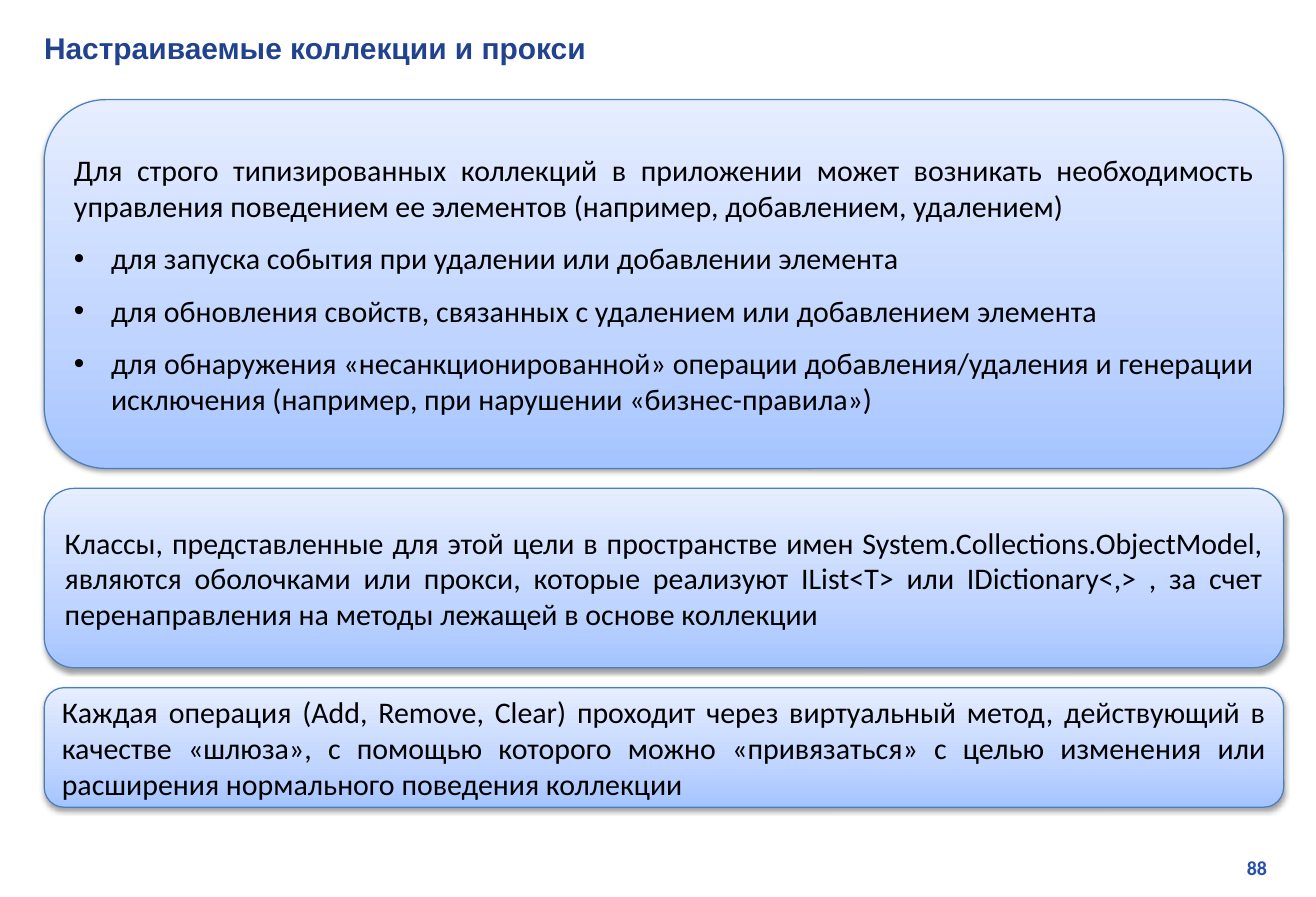
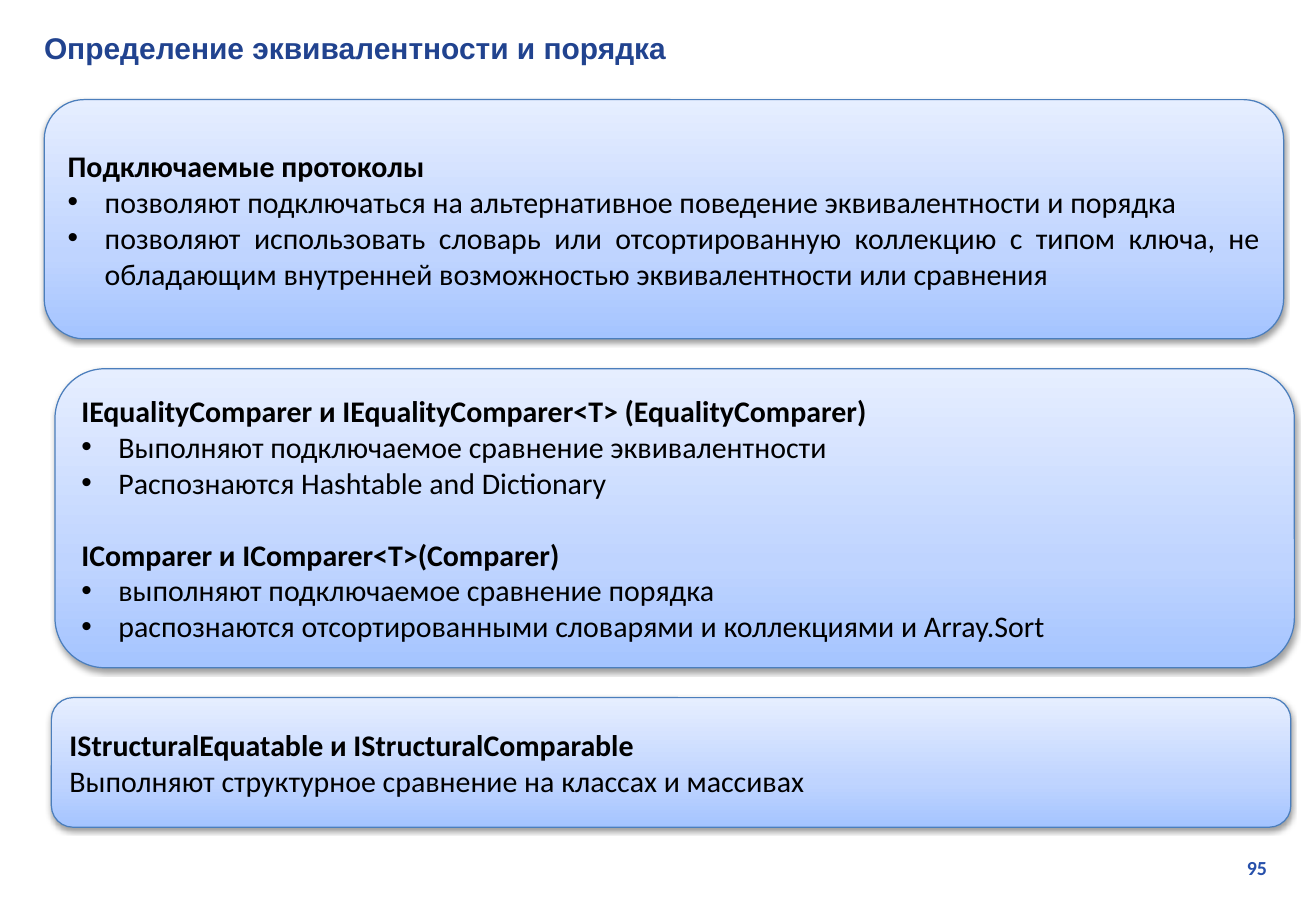
"""Build two slides on collection proxies and on equality and order protocols."""
from copy import deepcopy

from lxml.etree import SubElement
from pptx import Presentation
from pptx.dml.color import RGBColor
from pptx.enum.shapes import MSO_SHAPE
from pptx.enum.text import MSO_ANCHOR, PP_ALIGN
from pptx.oxml.ns import qn
from pptx.util import Inches, Pt

TITLE_BLUE = RGBColor(0x21, 0x43, 0x8F)
NUMBER_BLUE = RGBColor(0x27, 0x50, 0xAB)
BORDER_BLUE = RGBColor(0x4B, 0x7E, 0xBC)
BLACK = RGBColor(0, 0, 0)
PANEL_GRADIENT = [
    (0, RGBColor(0xA4, 0xC4, 0xFF)),
    (0.35, RGBColor(0xBF, 0xD4, 0xFF)),
    (1, RGBColor(0xE6, 0xEE, 0xFF)),
]

ROW = Inches(1 / 12)
MARGIN = Inches(0.37)
PANEL_WIDTH = Inches(10.36)
BULLET_INDENT = Inches(0.31)

TITLE = {"name": "Arial", "size": Pt(18), "bold": True}
NUMBER = {"name": "Calibri", "size": Pt(12), "bold": True}
BODY = {"name": "Calibri", "size": Pt(18), "bold": False}
HEADING = BODY | {"bold": True}

LEFT, JUSTIFY = PP_ALIGN.LEFT, PP_ALIGN.JUSTIFY

SLIDES = [
    ("Настраиваемые коллекции и прокси", 88, [
        (0, 10, 37, JUSTIFY, 10, [
            ("body", "Для строго типизированных коллекций в приложении может возникать необходимость "
                     "управления поведением ее элементов (например, добавлением, удалением)"),
            ("bullet", "для запуска события при удалении или добавлении элемента"),
            ("bullet", "для обновления свойств, связанных с удалением или добавлением элемента"),
            ("bullet", "для обнаружения «несанкционированной» операции добавления/удаления и генерации "
                       "исключения (например, при нарушении «бизнес-правила»)"),
        ]),
        (0, 49, 18, JUSTIFY, 10, [
            ("body", "Классы, представленные для этой цели в пространстве имен "
                     "System.Collections.ObjectModel, являются оболочками или прокси, которые реализуют "
                     "IList<T> или IDictionary<,> , за счет перенаправления на методы лежащей в основе "
                     "коллекции"),
        ]),
        (0, 69, 12, JUSTIFY, 10, [
            ("body", "Каждая операция (Add, Remove, Clear) проходит через виртуальный метод, "
                     "действующий в качестве «шлюза», с помощью которого можно «привязаться» с целью "
                     "изменения или расширения нормального поведения коллекции"),
        ]),
    ]),
    ("Определение эквивалентности и порядка", 95, [
        (0, 10, 24, JUSTIFY, 0, [
            ("heading", "Подключаемые протоколы"),
            ("bullet", "позволяют подключаться на альтернативное поведение эквивалентности и порядка"),
            ("bullet", "позволяют использовать словарь или отсортированную коллекцию с типом ключа, не "
                       "обладающим внутренней возможностью эквивалентности или сравнения"),
        ]),
        (0.09, 37, 30, LEFT, 0, [
            ("heading", "IEqualityComparer и IEqualityComparer<T> (EqualityComparer)"),
            ("bullet", "Выполняют подключаемое сравнение эквивалентности"),
            ("bullet", "Распознаются Hashtable and Dictionary"),
            ("heading", "IComparer и IComparer<T>(Comparer)"),
            ("bullet", "выполняют подключаемое сравнение порядка"),
            ("bullet", "распознаются отсортированными словарями и коллекциями и Array.Sort"),
        ]),
        (0.06, 70, 13, LEFT, 0, [
            ("heading", "IStructuralEquatable и IStructuralComparable"),
            ("body", "Выполняют структурное сравнение на классах и массивах"),
        ]),
    ]),
]


def write(paragraph, text, font_format, color, align):
    paragraph.text = text
    paragraph.alignment = align
    for attribute, value in font_format.items():
        setattr(paragraph.font, attribute, value)
    paragraph.font.color.rgb = color


def add_panel(slide, left, top, height):
    panel = slide.shapes.add_shape(MSO_SHAPE.ROUNDED_RECTANGLE, left, top, PANEL_WIDTH, height)
    panel.fill.gradient()
    panel.fill.gradient_angle = 90
    stops = panel.element.spPr.find(".//" + qn("a:gsLst"))
    stops.append(deepcopy(stops[0]))
    for stop, (position, color) in zip(panel.fill.gradient_stops, PANEL_GRADIENT):
        stop.position = position
        stop.color.rgb = color
    panel.line.color.rgb = BORDER_BLUE
    panel.line.width = Pt(0.75)
    panel.shadow.inherit = False
    effects = panel.element.spPr.find(qn("a:effectLst"))
    shadow = SubElement(effects, qn("a:outerShdw"), blurRad=str(Pt(3.1)), dist=str(Pt(1.6)),
                        dir="5400000", rotWithShape="0")
    shade = SubElement(shadow, qn("a:srgbClr"), val=str(BLACK))
    SubElement(shade, qn("a:alpha"), val="38000")
    panel.text_frame.word_wrap = True
    panel.text_frame.vertical_anchor = MSO_ANCHOR.MIDDLE
    return panel.text_frame


deck = Presentation()
deck.slide_width, deck.slide_height = Inches(11), Inches(7.5)

for title, number, panels in SLIDES:
    slide = deck.slides.add_slide(deck.slide_layouts[6])
    for text, place, font_format, color, align in [
        (str(number), (8.36, 7.1, 2.33, 0.3), NUMBER, NUMBER_BLUE, PP_ALIGN.RIGHT),
        (title, (0.27, 0.2, 10.5, 0.4), TITLE, TITLE_BLUE, LEFT),
    ]:
        label = slide.shapes.add_textbox(*map(Inches, place)).text_frame
        label.word_wrap = True
        label.vertical_anchor = MSO_ANCHOR.MIDDLE
        write(label.paragraphs[0], text, font_format, color, align)

    for shift, top, rows, align, gap, lines in panels:
        frame = add_panel(slide, MARGIN + Inches(shift), ROW * top, ROW * rows)
        for index, (role, text) in enumerate(lines):
            paragraph = frame.add_paragraph() if index else frame.paragraphs[0]
            if role == "bullet":
                properties = paragraph._p.get_or_add_pPr()
                properties.set("marL", str(BULLET_INDENT))
                properties.set("indent", str(-BULLET_INDENT))
                SubElement(properties, qn("a:buFont"), typeface="Arial")
                SubElement(properties, qn("a:buChar"), char="•")
            is_heading = role == "heading"
            write(paragraph, text, HEADING if is_heading else BODY, BLACK, LEFT if is_heading else align)
            paragraph.space_after = Pt(gap)
            if is_heading and index:
                paragraph.space_before = Pt(21.6)

deck.save("out.pptx")
